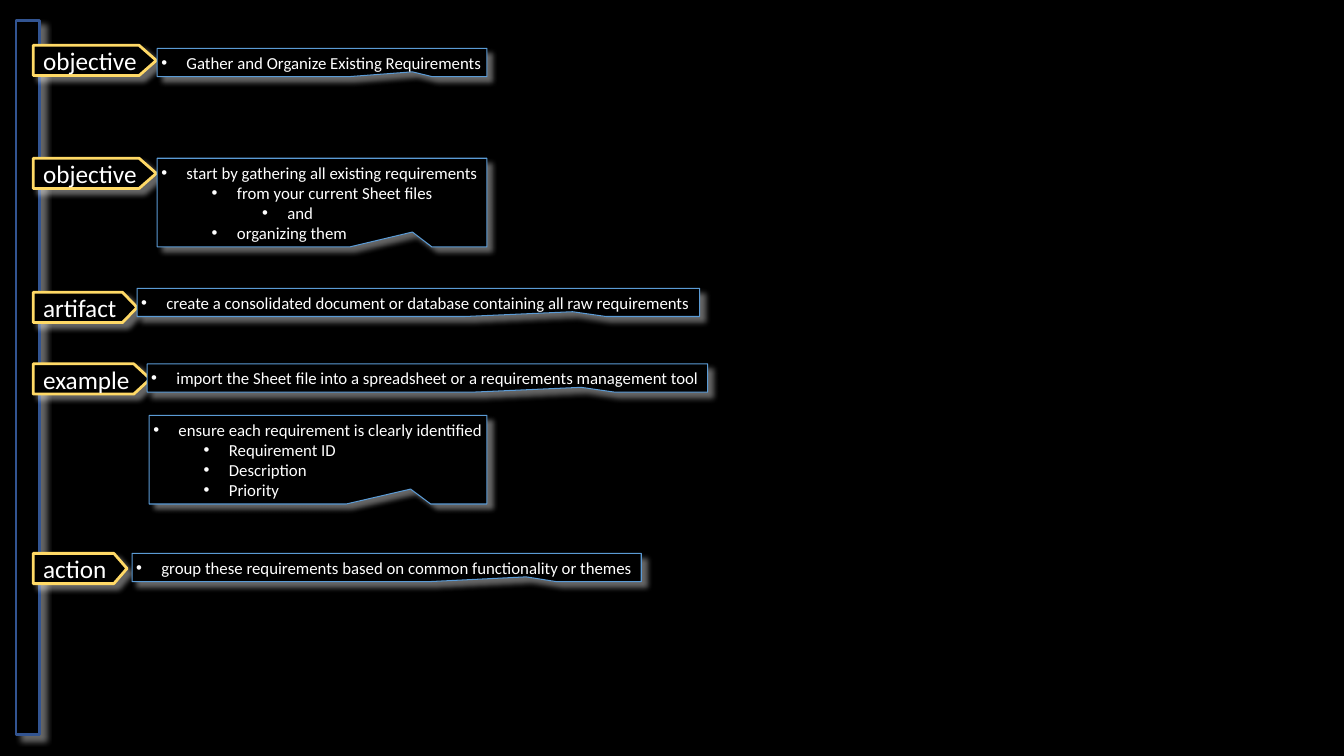
from lxml import etree
from pptx import Presentation
from pptx.dml.color import RGBColor as RGB
from pptx.enum.shapes import MSO_SHAPE as Kind
from pptx.enum.text import MSO_ANCHOR as Anchor, MSO_AUTO_SIZE as Fit, PP_ALIGN as Align
from pptx.oxml.ns import qn
from pptx.util import Inches, Pt

# Content: tag text, tag width, tag top
TAGS = [
    ("objective", 1.22, 0.45),
    ("objective", 1.22, 1.57),
    ("artifact", 1.03, 2.9),
    ("example", 1.16, 3.61),
    ("action", 0.93, 5.49),
]
# Note left, top, width, then lines of (level, text)
NOTES = [
    (1.56, 0.48, 3.27, [(0, "Gather and Organize Existing Requirements")]),
    (1.56, 1.57, 3.27, [
        (0, "start by gathering all existing requirements"),
        (1, "from your current Sheet files"),
        (2, "and"),
        (1, "organizing them")]),
    (1.36, 2.86, 5.58, [
        (0, "create a consolidated document or database containing all raw requirements")]),
    (1.46, 3.61, 5.56, [
        (0, "import the Sheet file into a spreadsheet or a requirements management tool")]),
    (1.48, 4.12, 3.35, [
        (0, "ensure each requirement is clearly identified"),
        (1, "Requirement ID"),
        (1, "Description"),
        (1, "Priority")]),
    (1.31, 5.49, 5.05, [
        (0, "group these requirements based on common functionality or themes")]),
]

# Measures and formats
WIDE, HIGH = 13.33, 7.5
BAR = (0.16, 0.2, 0.23, 7.09)
TAG_X, TAG_H, NECK = 0.33, 0.3, 0.86
ROW, PAD = 0.2, 0.04
INDENT, STEP = 0.25, 0.5
TIP = (0.274, 0.332)
BLACK, WHITE, NAVY, BLUE, GOLD = "000000", "FFFFFF", "325491", "5B9BD5", "FFD966"
SIDES = ("margin_left", "margin_top", "margin_right", "margin_bottom")
TAG_BOX = dict(zip(SIDES, map(Inches, (0.1, 0, 0, 0))),
               vertical_anchor=Anchor.MIDDLE)
NOTE_BOX = dict(zip(SIDES, [Inches(PAD)] * 4), vertical_anchor=Anchor.TOP)


def color(code):
    return RGB.from_string(code)


def apply(item, form):
    for name, value in form.items():
        setattr(item, name, value)


def node(parent, tag, **attrs):
    child = etree.SubElement(parent, qn(tag))
    for name, value in attrs.items():
        child.set(name, str(value))
    return child


def style(shape, edge, width):
    """Black fill, coloured edge and a soft white shadow."""
    shape.fill.solid()
    shape.fill.fore_color.rgb = color(BLACK)
    shape.line.color.rgb = color(edge)
    shape.line.width = Pt(width)
    shape.shadow.inherit = False
    glow = node(shape._element.spPr.find(qn("a:effectLst")), "a:outerShdw",
                blurRad=Pt(4), dist=Pt(5), dir=45 * 60000, algn="tl", rotWithShape=0)
    node(node(glow, "a:srgbClr", val=WHITE), "a:alpha", val=40000)


def write(shape, lines, size, box, dots=False):
    frame = shape.text_frame
    apply(frame, dict(box, word_wrap=False, auto_size=Fit.SHAPE_TO_FIT_TEXT))
    for i, (level, text) in enumerate(lines):
        para = frame.paragraphs[0] if i == 0 else frame.add_paragraph()
        apply(para, {"alignment": Align.LEFT, "level": level})
        run = para.add_run()
        run.text = text
        apply(run.font, {"name": "Calibri", "size": Pt(size)})
        run.font.color.rgb = color(WHITE)
        if dots:
            props = para._p.get_or_add_pPr()
            props.set("marL", str(Inches(INDENT + STEP * level)))
            props.set("indent", str(Inches(-INDENT)))
            node(props, "a:buFont", typeface="Arial")
            node(props, "a:buChar", char="•")


def main():
    deck = Presentation()
    apply(deck, {"slide_width": Inches(WIDE), "slide_height": Inches(HIGH)})
    slide = deck.slides.add_slide(deck.slide_layouts[6])
    slide.background.fill.solid()
    slide.background.fill.fore_color.rgb = color(BLACK)
    shapes = slide.shapes

    # Side bar
    style(shapes.add_shape(Kind.RECTANGLE, *map(Inches, BAR)), NAVY, 2)

    # Arrow tags
    for text, wide, top in TAGS:
        neck, end, foot = TAG_X + wide * NECK, TAG_X + wide, top + TAG_H
        path = [(neck, top), (end, top + TAG_H / 2), (neck, foot), (TAG_X, foot)]
        pen = shapes.build_freeform(Inches(TAG_X), Inches(top))
        pen.add_line_segments([(Inches(x), Inches(y)) for x, y in path], close=True)
        tag = pen.convert_to_shape()
        style(tag, GOLD, 2)
        write(tag, [(0, text)], 18, TAG_BOX)

    # Bulleted notes
    for left, top, wide, lines in NOTES:
        high = ROW * len(lines) + 2 * PAD
        note = shapes.add_shape(Kind.RECTANGULAR_CALLOUT,
                                *map(Inches, (left, top, wide, high)))
        for i, share in enumerate(TIP):
            note.adjustments[i] = share
        style(note, BLUE, 0.75)
        write(note, lines, 12, NOTE_BOX, dots=True)

    deck.save("out.pptx")


if __name__ == "__main__":
    main()
